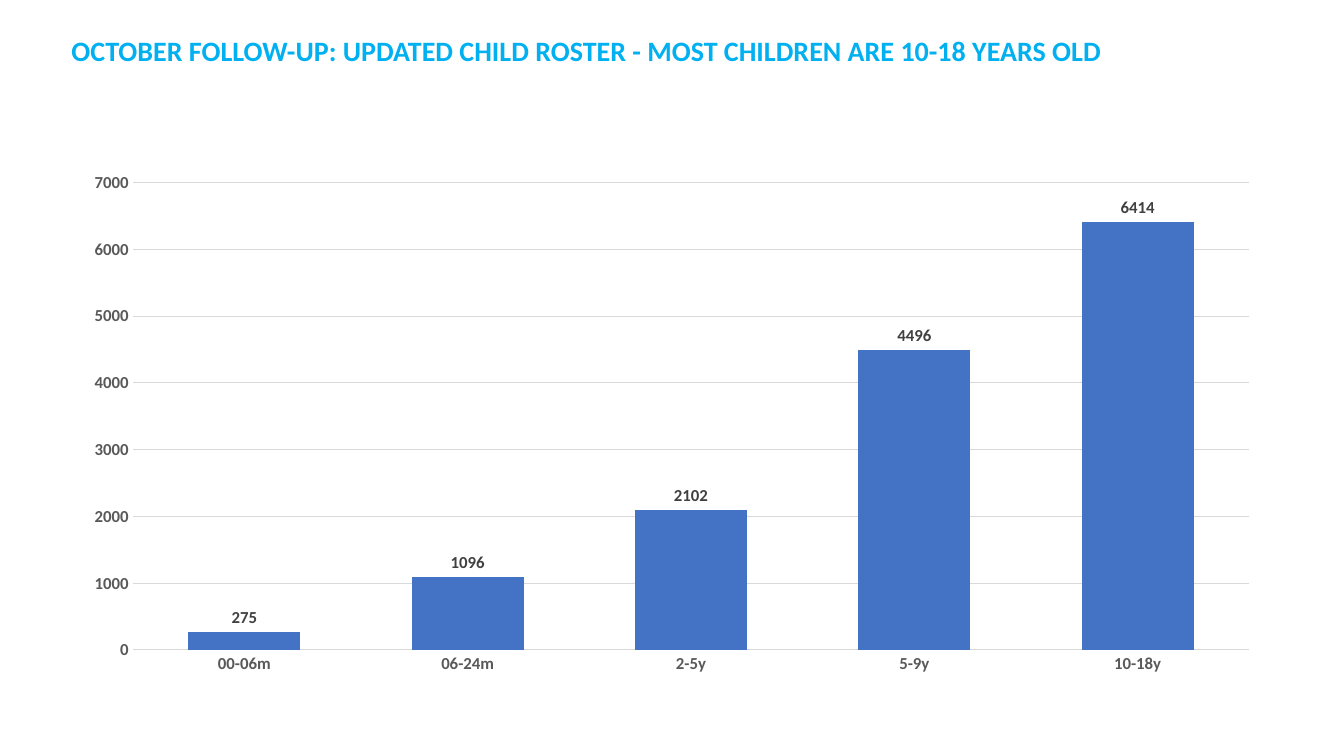
"""Build a slide with a column chart of children by age group."""
import pptx
import pptx.chart.data
import pptx.dml.color
import pptx.enum.chart
import pptx.enum.text
import pptx.util

TITLE = "OCTOBER FOLLOW-UP: UPDATED CHILD ROSTER - MOST CHILDREN ARE 10-18 YEARS OLD"
CHILDREN = {"00-06m": 275, "06-24m": 1096, "2-5y": 2102, "5-9y": 4496, "10-18y": 6414}
FONT = "Calibri"
RGBColor = pptx.dml.color.RGBColor
SKY = RGBColor(0x00, 0xB0, 0xF0)
BLUE = RGBColor(0x44, 0x72, 0xC4)
BLACK = RGBColor(0x00, 0x00, 0x00)
DARK = RGBColor(0x40, 0x40, 0x40)
GREY = RGBColor(0x59, 0x59, 0x59)
RULE = RGBColor(0xD9, 0xD9, 0xD9)
WIDTH, HEIGHT = 13.33, 7.5
TITLE_BOX = (0.61, 0.28, 11.77, 0.44)
CHART_BOX = (0.7, 1.61, 11.93, 5.18)


def set_font(font, size, color):
    font.name = FONT
    font.size = pptx.util.Pt(size)
    font.bold = True
    font.color.rgb = color


def set_line(line):
    line.color.rgb = RULE
    line.width = pptx.util.Pt(0.75)


def add_title(s):
    tf = s.shapes.add_textbox(*map(pptx.util.Inches, TITLE_BOX)).text_frame
    tf.word_wrap = True
    tf.auto_size = pptx.enum.text.MSO_AUTO_SIZE.SHAPE_TO_FIT_TEXT
    p = tf.paragraphs[0]
    p.text = TITLE
    p.alignment = pptx.enum.text.PP_ALIGN.JUSTIFY
    set_font(p.runs[0].font, 20, SKY)


def add_age_chart(s):
    data = pptx.chart.data.CategoryChartData()
    data.categories = list(CHILDREN)
    data.add_series("Series 1", list(CHILDREN.values()))
    kind = pptx.enum.chart.XL_CHART_TYPE.COLUMN_CLUSTERED
    chart = s.shapes.add_chart(kind, *map(pptx.util.Inches, CHART_BOX), data).chart
    chart.has_title = False
    chart.has_legend = False
    set_font(chart.font, 12, BLACK)

    for axis in (chart.category_axis, chart.value_axis):
        axis.major_tick_mark = pptx.enum.chart.XL_TICK_MARK.NONE
        axis.minor_tick_mark = pptx.enum.chart.XL_TICK_MARK.NONE
        set_font(axis.tick_labels.font, 12, GREY)
    set_line(chart.category_axis.format.line)
    chart.value_axis.format.line.fill.background()
    set_line(chart.value_axis.major_gridlines.format.line)

    plot = chart.plots[0]
    plot.vary_by_categories = False
    plot.gap_width = 99
    plot.overlap = -27
    series = plot.series[0]
    series.format.fill.solid()
    series.format.fill.fore_color.rgb = BLUE
    labels = series.data_labels
    labels.show_value = True
    labels.position = pptx.enum.chart.XL_LABEL_POSITION.OUTSIDE_END
    set_font(labels.font, 12, DARK)


def main():
    prs = pptx.Presentation()
    prs.slide_width = pptx.util.Inches(WIDTH)
    prs.slide_height = pptx.util.Inches(HEIGHT)
    s = prs.slides.add_slide(prs.slide_layouts[6])
    add_age_chart(s)
    add_title(s)
    prs.save("out.pptx")


if __name__ == "__main__":
    main()
